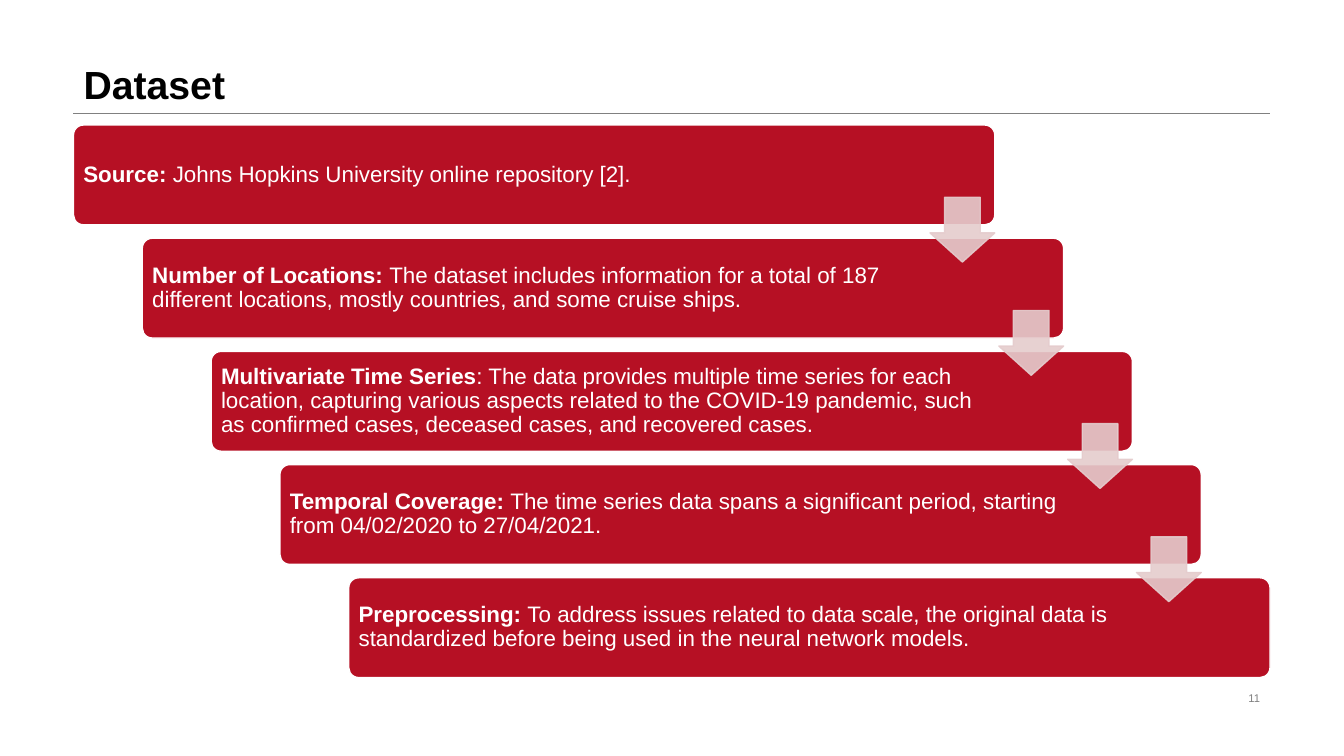
from lxml import etree
from pptx import Presentation
from pptx.dml.color import RGBColor
from pptx.enum import shapes, text
from pptx.oxml import ns
from pptx.util import Pt

RED, PINK, GREY, WHITE, BLACK = "B61024", "E5CCCD", "808080", "FFFFFF", "000000"
LEFT, RIGHT, RULE_Y = 52.5, 907.2, 80.8

STEPS = [
    ("Source: ", "Johns Hopkins University online repository [2]."),
    ("Number of Locations: ",
     "The dataset includes information for a total of 187 different locations, "
     "mostly countries, and some cruise ships."),
    ("Multivariate Time Series",
     ": The data provides multiple time series for each location, capturing various "
     "aspects related to the COVID-19 pandemic, such as confirmed cases, deceased "
     "cases, and recovered cases."),
    ("Temporal Coverage: ",
     "The time series data spans a significant period, starting from 04/02/2020 "
     "to 27/04/2021."),
    ("Preprocessing: ",
     "To address issues related to data scale, the original data is standardized "
     "before being used in the neural network models."),
]


def colour(target, value):
    """Give a fill a solid colour, or set a font or line colour."""
    if hasattr(target, "solid"):
        target.solid()
        target.fore_color.rgb = RGBColor.from_string(value)
    else:
        target.color.rgb = RGBColor.from_string(value)


def write(frame, *runs, size=16, color=WHITE, align=text.PP_ALIGN.LEFT,
          anchor=text.MSO_ANCHOR.MIDDLE, inset=None):
    """Fill a text frame with (words, bold) runs in one paragraph."""
    frame.word_wrap = True
    frame.auto_size = text.MSO_AUTO_SIZE.NONE
    frame.vertical_anchor = anchor
    if inset is not None:
        frame.margin_left = frame.margin_right = Pt(inset)
        frame.margin_top = frame.margin_bottom = Pt(inset)
    paragraph = frame.paragraphs[0]
    paragraph.alignment = align
    paragraph.line_spacing = 0.9
    for words, bold in runs:
        run = paragraph.add_run()
        run.text = words
        run.font.name, run.font.size, run.font.bold = "Arial", Pt(size), bold
        colour(run.font, color)


class Deck:
    """Holds the presentation style and the current slide."""

    def __init__(self, width, height):
        self.file = Presentation()
        self.file.slide_width, self.file.slide_height = Pt(width), Pt(height)
        self.slide = self.file.slides.add_slide(self.file.slide_layouts[5])

    def title(self, words, x, y, w, h):
        heading = self.slide.shapes.title
        heading.left, heading.top, heading.width, heading.height = map(Pt, (x, y, w, h))
        write(heading.text_frame, (words, True), size=28, color=BLACK,
              anchor=text.MSO_ANCHOR.BOTTOM)

    def rule(self, x1, x2, y):
        line = self.slide.shapes.add_connector(
            shapes.MSO_CONNECTOR.STRAIGHT, Pt(x1), Pt(y), Pt(x2), Pt(y))
        line.line.width = Pt(0.25)
        colour(line.line, GREY)
        etree.SubElement(line._element.spPr, ns.qn("a:effectLst"))

    def label(self, x, y, w, h, *runs, **style):
        box = self.slide.shapes.add_textbox(Pt(x), Pt(y), Pt(w), Pt(h))
        write(box.text_frame, *runs, **style)

    def block(self, kind, x, y, w, h, fill, line, adjust, opacity=None):
        block = self.slide.shapes.add_shape(kind, Pt(x), Pt(y), Pt(w), Pt(h))
        block.shadow.inherit = False
        for index, value in enumerate(adjust):
            block.adjustments[index] = value
        colour(block.fill, fill)
        colour(block.line, line)
        block.line.width = Pt(1)
        if opacity is not None:
            for tint in block._element.spPr.iter(ns.qn("a:srgbClr")):
                etree.SubElement(tint, ns.qn("a:alpha"), val=str(opacity * 1000))


def main():
    deck = Deck(960, 540)

    # Heading and page number
    deck.rule(LEFT, RIGHT, RULE_Y)
    deck.label(678.2, 491, 229, 16.6, ("11", False), size=8, color=GREY,
               align=text.PP_ALIGN.RIGHT)
    deck.title("Dataset", LEFT, 0, RIGHT - LEFT, RULE_Y)

    # Staircase of steps
    bar_w, bar_h, top = 658.1, 71.3, 89.3
    shift_x, shift_y = 49.15, 80.85
    for i, (lead, detail) in enumerate(STEPS):
        x, y = LEFT + i * shift_x, top + i * shift_y
        deck.block(shapes.MSO_SHAPE.ROUNDED_RECTANGLE, x, y, bar_w, bar_h,
                   RED, WHITE, [0.1])
        deck.label(x + 2.1, y + 2.1, 558.7 if i else 573, 67,
                   (lead, True), (detail, False), inset=5)

    # Arrows over the joins between steps
    arrow = 46.3
    for i in range(len(STEPS) - 1):
        deck.block(shapes.MSO_SHAPE.DOWN_ARROW,
                   LEFT + bar_w - arrow + i * shift_x, top + 51.6 + i * shift_y,
                   arrow, arrow, PINK, PINK, [0.55, 0.45], opacity=90)

    deck.file.save("out.pptx")


if __name__ == "__main__":
    main()
